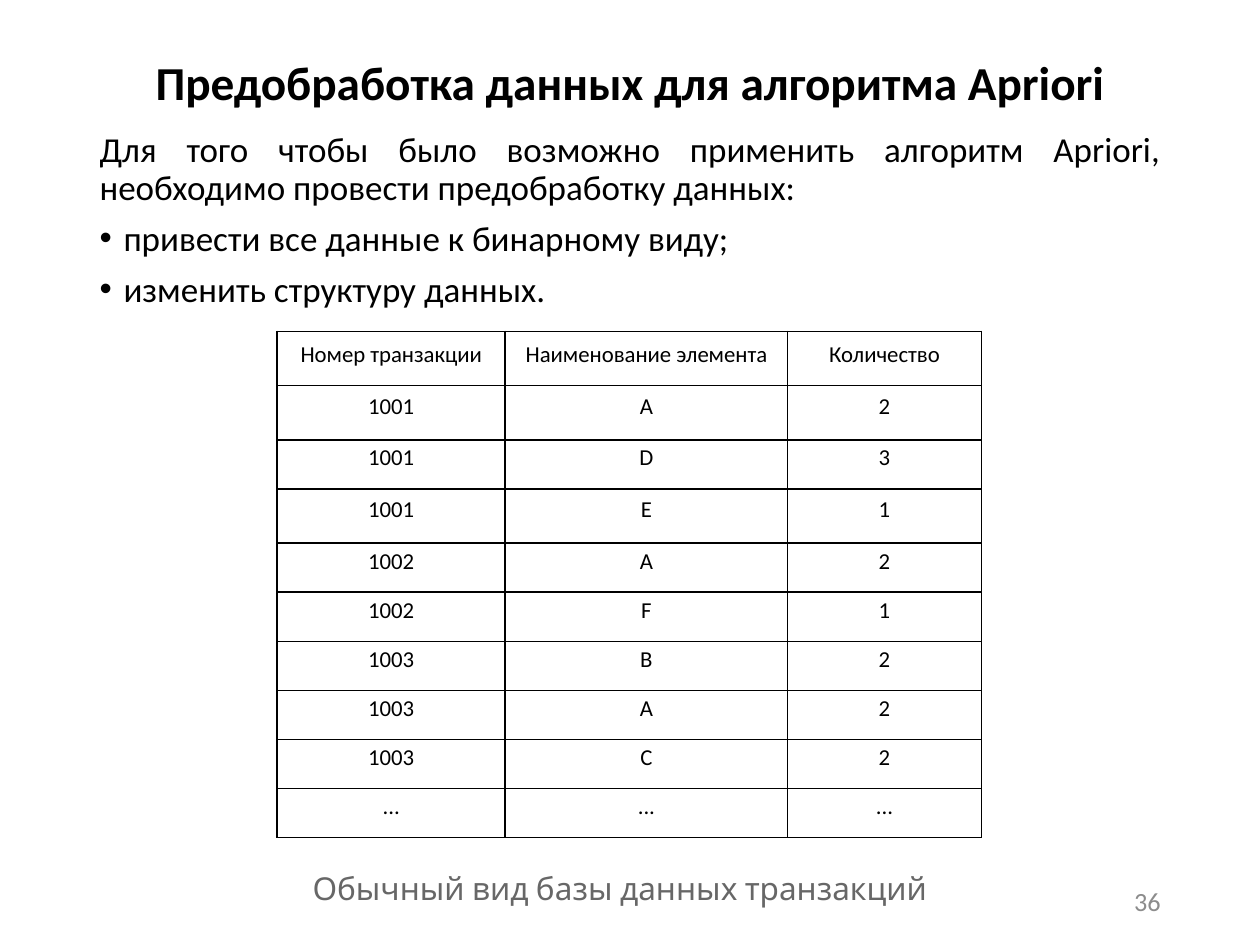
from lxml.etree import SubElement
from pptx import Presentation
from pptx.dml.color import RGBColor
from pptx.enum.text import MSO_ANCHOR as Anchor, MSO_AUTO_SIZE as AutoSize, PP_ALIGN as Align
from pptx.oxml.ns import qn
from pptx.util import Inches, Pt

# Content
TITLE = "Предобработка данных для алгоритма Apriori"
INTRO = ("Для того чтобы было возможно применить алгоритм Apriori, "
         "необходимо провести предобработку данных:")
STEPS = ["привести все данные к бинарному виду;", "изменить структуру данных."]
HEADER = ("Номер транзакции", "Наименование элемента", "Количество")
TRANSACTIONS = [
    ("1001", "А", "2"),
    ("1001", "D", "3"),
    ("1001", "E", "1"),
    ("1002", "А", "2"),
    ("1002", "F", "1"),
    ("1003", "B", "2"),
    ("1003", "А", "2"),
    ("1003", "C", "2"),
    ("...", "...", "..."),
]
CAPTION = "Обычный вид базы данных транзакций"
PAGE = "36"

# Style and layout, in inches
COLORS = {"text": "000000", "page": "8C8C8C", "caption": "676767"}
WIDTH, HEIGHT = 10, 7.5
MARGIN = 0.69
CONTENT_W = WIDTH - 2 * MARGIN
COL_WIDTHS = (1.81, 2.24, 1.54)
ROW_H = 0.39
TALL_ROWS = {0: 0.41, 1: 0.43, 3: 0.43}
INDENT = 0.19


def place(sp, left, top, width, height):
    sp.left, sp.top, sp.width, sp.height = map(Inches, (left, top, width, height))


def add_run(p, text, size, color="text", font="Calibri", bold=False):
    r = p.add_run()
    r.text = text
    r.font.name, r.font.size, r.font.bold = font, Pt(size), bold
    r.font.color.rgb = RGBColor.from_string(COLORS[color])


def set_bullet(p, char=None):
    indent = Inches(INDENT) if char else 0
    pPr = p._p.get_or_add_pPr()
    pPr.set("marL", str(indent))
    pPr.set("indent", str(-indent))
    if char:
        SubElement(pPr, qn("a:buFont"), typeface="Arial")
        SubElement(pPr, qn("a:buChar"), char=char)
    else:
        SubElement(pPr, qn("a:buNone"))


def add_label(slide, box, text, align, anchor, **style):
    sp = slide.shapes.add_textbox(*map(Inches, box))
    tf = sp.text_frame
    tf.word_wrap = True
    tf.vertical_anchor = anchor
    p = tf.paragraphs[0]
    p.alignment = align
    add_run(p, text, **style)


def set_borders(cell):
    tcPr = cell._tc.get_or_add_tcPr()
    for i, side in enumerate(("lnL", "lnR", "lnT", "lnB")):
        ln = SubElement(tcPr, qn(f"a:{side}"), w=str(Pt(1)))
        fill = SubElement(ln, qn("a:solidFill"))
        SubElement(fill, qn("a:srgbClr"), val=COLORS["text"])
        tcPr.insert(i, ln)


prs = Presentation()
prs.slide_width, prs.slide_height = Inches(WIDTH), Inches(HEIGHT)
slide = prs.slides.add_slide(prs.slide_layouts[1])

# Title
title = slide.shapes.title
place(title, MARGIN, 0.08, CONTENT_W, 1.2)
tf = title.text_frame
tf.auto_size = AutoSize.NONE
tf.vertical_anchor = Anchor.MIDDLE
p = tf.paragraphs[0]
p.alignment, p.line_spacing = Align.CENTER, 0.9
add_run(p, TITLE, 27, bold=True)

# Introduction and steps
body = slide.placeholders[1]
place(body, MARGIN, 1, CONTENT_W, 5.76)
tf = body.text_frame
tf.auto_size = AutoSize.NONE
for i, text in enumerate([INTRO] + STEPS):
    p = tf.add_paragraph() if i else tf.paragraphs[0]
    set_bullet(p, "•" if i else None)
    p.alignment = Align.LEFT if i else Align.JUSTIFY
    p.line_spacing = 0.9
    p.space_before = Pt(7.5 if i else 0)
    add_run(p, text, 20)

# Transaction table
rows = [HEADER] + TRANSACTIONS
heights = [TALL_ROWS.get(i, ROW_H) for i in range(len(rows))]
frame = slide.shapes.add_table(len(rows), len(HEADER), Inches(2.2), Inches(2.63),
                               Inches(sum(COL_WIDTHS)), Inches(sum(heights)))
table = frame.table
table.first_row = table.horz_banding = False
for column, width in zip(table.columns, COL_WIDTHS):
    column.width = Inches(width)
for i, (values, height) in enumerate(zip(rows, heights)):
    table.rows[i].height = Inches(height)
    for j, value in enumerate(values):
        cell = table.cell(i, j)
        cell.fill.background()
        set_borders(cell)
        cell.margin_left = cell.margin_right = Inches(0.12)
        cell.margin_top = cell.margin_bottom = Inches(0.16)
        cell.vertical_anchor = Anchor.MIDDLE
        p = cell.text_frame.paragraphs[0]
        p.alignment = Align.CENTER
        p.line_spacing = 0.2 if i else 0.5
        add_run(p, value, 13)

# Caption and page number
add_label(slide, (1.92, 6.85, 6, 0.4), CAPTION, Align.CENTER, Anchor.TOP,
          size=18, color="caption", font="Karla")
add_label(slide, (WIDTH - MARGIN - 2.25, 6.95, 2.25, 0.4), PAGE, Align.RIGHT, Anchor.MIDDLE,
          size=15, color="page")

prs.save("out.pptx")
